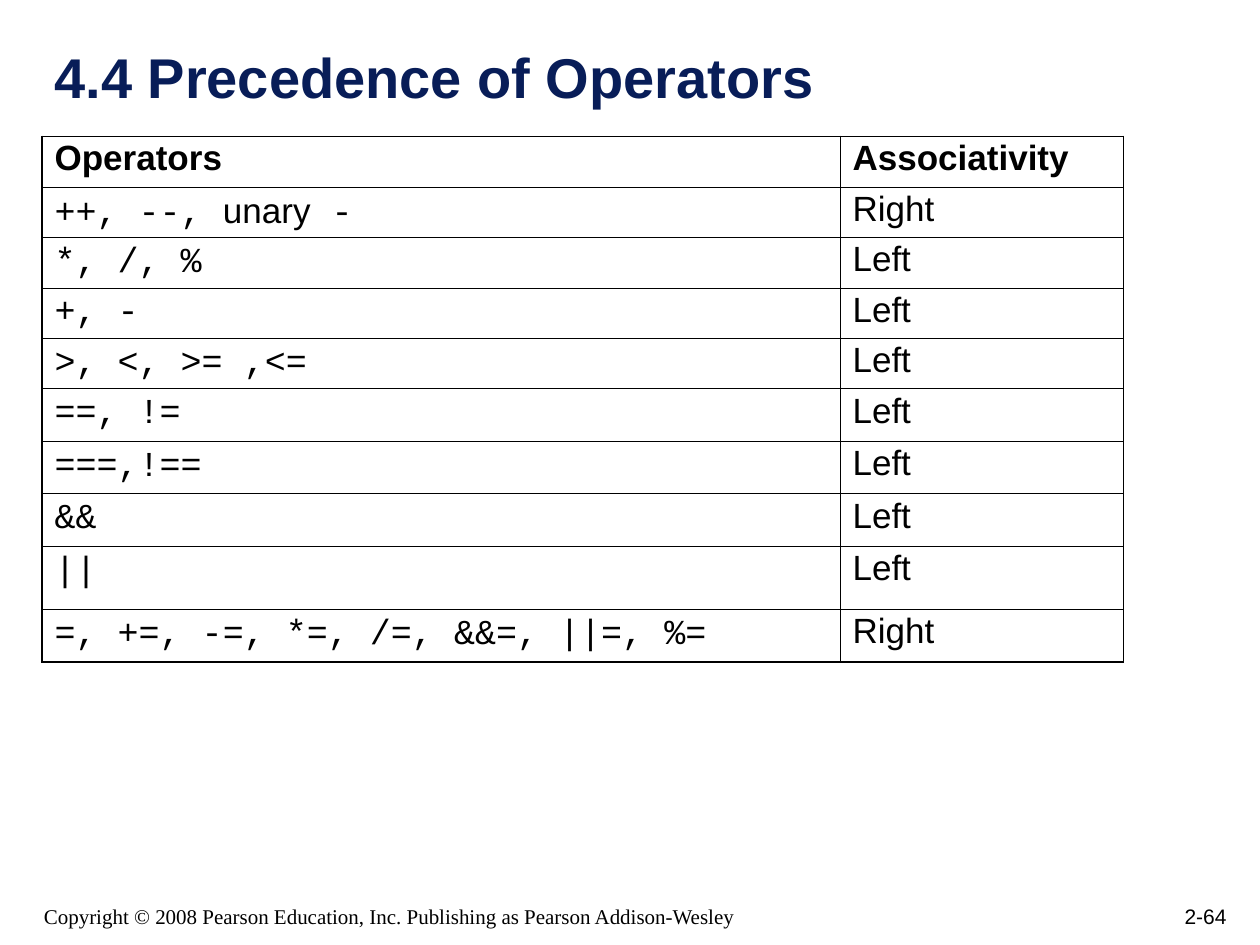
"""Build a slide with a table of operator precedence."""
from dataclasses import dataclass
from typing import NamedTuple

from lxml.etree import SubElement
from pptx import Presentation
from pptx.dml.color import RGBColor
from pptx.enum.text import MSO_ANCHOR, PP_ALIGN
from pptx.oxml.ns import qn
from pptx.util import Inches, Length, Pt


@dataclass(frozen=True)
class Theme:
    navy: str = "081D58"
    black: str = "000000"
    white: str = "FFFFFF"
    sans: str = "Arial"
    mono: str = "Courier New"
    serif: str = "Times New Roman"
    title: int = 32
    body: int = 20
    footer: int = 12
    thick: float = 1.08
    thin: float = 0.45


class Box(NamedTuple):
    left: float
    top: float
    width: float
    height: float


class Operators(NamedTuple):
    symbols: str
    associativity: str
    height: float
    word: str = ""
    tail: str = ""


THEME = Theme()
UNITS_PER_INCH = 12
SLIDE = Box(0, 0, 120, 90)
TITLE = Box(4, 4, 113, 7)
COPYRIGHT = Box(3, 84, 73, 5)
NUMBER = Box(93, 83, 25, 6)
TABLE_LEFT, TABLE_TOP = 4, 13
COLUMNS = (76, 27)
HEADINGS = Operators("Operators", "Associativity", 4.8)
ROWS = (
    Operators("++, --, ", "Right", 4.8, "unary", " -"),
    Operators("*, /, %", "Left", 4.8),
    Operators("+, -", "Left", 4.8),
    Operators(">, <, >= ,<=", "Left", 4.8),
    Operators("==, !=", "Left", 5),
    Operators("===,!==", "Left", 5),
    Operators("&&", "Left", 5),
    Operators("||", "Left", 6),
    Operators("=, +=, -=, *=, /=, &&=, ||=, %=", "Right", 5),
)


def grid(units: float) -> Length:
    """Turn grid units into a length."""
    return Inches(units / UNITS_PER_INCH)


def add_run(p, text: str, *, font=THEME.sans, size=THEME.body,
            color=THEME.black, bold=False) -> None:
    """Append formatted text to a paragraph."""
    r = p.add_run()
    r.text = text
    r.font.name = font
    r.font.size = Pt(size)
    r.font.bold = bold
    r.font.color.rgb = RGBColor.from_string(color)


def add_label(s, box: Box, text: str, *, align=PP_ALIGN.LEFT, **style) -> None:
    """Place a line of text at the bottom of a box."""
    tf = s.shapes.add_textbox(*map(grid, box)).text_frame
    tf.word_wrap = True
    tf.vertical_anchor = MSO_ANCHOR.BOTTOM
    p = tf.paragraphs[0]
    p.alignment = align
    add_run(p, text, **style)


def set_borders(cell, edges: dict[str, bool]) -> None:
    """Draw each cell edge, thick where it is on the outside."""
    tcPr = cell._tc.get_or_add_tcPr()
    for i, (side, outer) in enumerate(edges.items()):
        width = Pt(THEME.thick if outer else THEME.thin)
        ln = SubElement(tcPr, qn(f"a:ln{side}"), w=str(width))
        fill = SubElement(ln, qn("a:solidFill"))
        SubElement(fill, qn("a:srgbClr"), val=THEME.black)
        tcPr.insert(i, ln)


def add_operator_table(s, rows: tuple[Operators, ...]) -> None:
    """Add the table, with a bold first row and operators in monospace."""
    box = Box(TABLE_LEFT, TABLE_TOP, sum(COLUMNS), sum(row.height for row in rows))
    table = s.shapes.add_table(len(rows), len(COLUMNS), *map(grid, box)).table
    table.first_row = table.horz_banding = False
    for column, width in zip(table.columns, COLUMNS):
        column.width = grid(width)
    for i, row in enumerate(rows):
        table.rows[i].height = grid(row.height)
        symbol_font = THEME.mono if i else THEME.sans
        contents = (
            ((row.symbols, symbol_font), (row.word, THEME.sans), (row.tail, symbol_font)),
            ((row.associativity, THEME.sans),),
        )
        for j, parts in enumerate(contents):
            cell = table.cell(i, j)
            cell.fill.background()
            set_borders(cell, {"L": j == 0, "R": j == len(COLUMNS) - 1,
                               "T": i == 0, "B": i == len(rows) - 1})
            p = cell.text_frame.paragraphs[0]
            p.line_spacing = 0.9
            for text, font in parts:
                if text:
                    add_run(p, text, font=font, bold=i == 0)


def main() -> None:
    """Build and save the slide."""
    prs = Presentation()
    prs.slide_width, prs.slide_height = grid(SLIDE.width), grid(SLIDE.height)
    s = prs.slides.add_slide(prs.slide_layouts[6])
    s.background.fill.solid()
    s.background.fill.fore_color.rgb = RGBColor.from_string(THEME.white)
    add_label(s, NUMBER, "2-64", align=PP_ALIGN.RIGHT, size=THEME.footer)
    add_label(s, COPYRIGHT,
              "Copyright © 2008 Pearson Education, Inc. Publishing as Pearson Addison-Wesley",
              font=THEME.serif, size=THEME.footer)
    add_label(s, TITLE, "4.4 Precedence of Operators",
              size=THEME.title, color=THEME.navy, bold=True)
    add_operator_table(s, (HEADINGS, *ROWS))
    prs.save("out.pptx")


if __name__ == "__main__":
    main()
